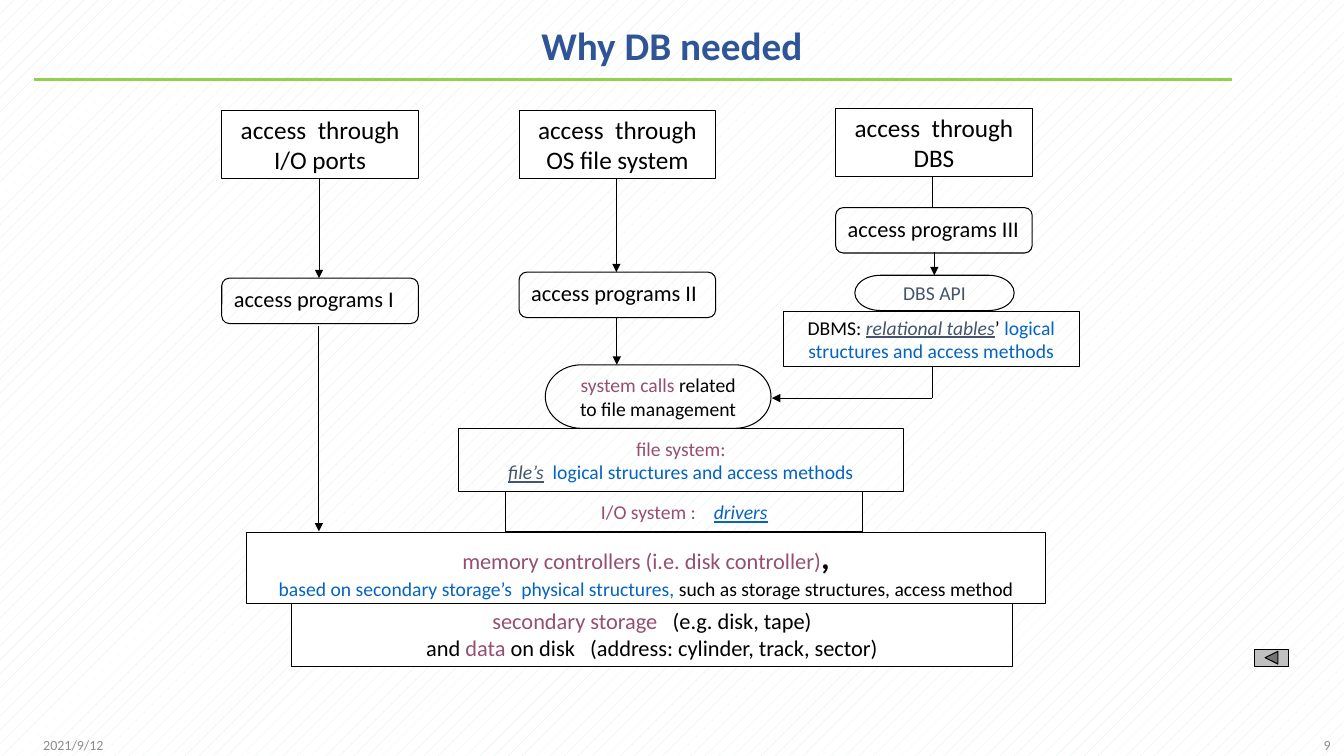
from dataclasses import dataclass

from lxml import etree
from pptx import Presentation
from pptx.dml.color import RGBColor
from pptx.enum.dml import MSO_PATTERN
from pptx.enum.shapes import MSO_CONNECTOR, MSO_SHAPE
from pptx.enum.text import MSO_ANCHOR, PP_ALIGN
from pptx.oxml.ns import qn
from pptx.util import Pt

RECT = MSO_SHAPE.RECTANGLE
ROUNDED = MSO_SHAPE.ROUNDED_RECTANGLE
TERMINATOR = MSO_SHAPE.FLOWCHART_TERMINATOR
BACK_BUTTON = MSO_SHAPE.ACTION_BUTTON_BACK_OR_PREVIOUS
STRAIGHT = MSO_CONNECTOR.STRAIGHT
DOTS = MSO_PATTERN.PERCENT_5
LEFT, CENTER, RIGHT = PP_ALIGN.LEFT, PP_ALIGN.CENTER, PP_ALIGN.RIGHT
TOP, MIDDLE = MSO_ANCHOR.TOP, MSO_ANCHOR.MIDDLE


@dataclass(frozen=True)
class Theme:
    """Colours, font and type sizes of the slide."""
    font: str = "Calibri"
    black: str = "000000"
    white: str = "FFFFFF"
    dots: str = "DCECE0"
    title: str = "2F5597"
    rule: str = "92D050"
    muted: str = "8C8C8C"
    plum: str = "954F72"
    blue: str = "0563C1"
    slate: str = "44546A"
    button: str = "C0C0C0"
    title_size: float = 28
    comma_size: float = 24
    route_size: float = 18
    program_size: float = 16
    layer_size: float = 14
    footer_size: float = 10
    outline: float = 0.75
    rule_width: float = 2.25


THEME = Theme()


def rgb(value):
    """Turn a hex string into a colour."""
    return RGBColor.from_string(value)


def run(text, color=THEME.black, **style):
    """Describe one run: its text, colour and other formatting."""
    return text, color, style


def gap(spaces, size):
    """Describe one space widened to the width of several."""
    return run(" ", spacing=(spaces - 1) * size * 0.226)


def write(frame, lines, size, align=CENTER, anchor=MIDDLE, wrap=False):
    """Fill a text frame with lines, run by run."""
    frame.word_wrap = wrap
    frame.vertical_anchor = anchor
    for number, runs in enumerate(lines):
        paragraph = frame.add_paragraph() if number else frame.paragraphs[0]
        paragraph.alignment = align
        for text, color, style in runs:
            part = paragraph.add_run()
            part.text = text
            font = part.font
            font.name = THEME.font
            font.size = Pt(style.get("size", size))
            font.color.rgb = rgb(color)
            font.bold = style.get("bold", False)
            font.italic = font.underline = style.get("term", False)
            if "spacing" in style:
                part._r.get_or_add_rPr().set("spc", str(round(style["spacing"] * 100)))


def node(slide, kind, box, fill=None):
    """Draw one outlined shape."""
    shape = slide.shapes.add_shape(kind, *map(Pt, box))
    shape.shadow.inherit = False
    if fill:
        shape.fill.solid()
        shape.fill.fore_color.rgb = rgb(fill)
    else:
        shape.fill.background()
    shape.line.color.rgb = rgb(THEME.black)
    shape.line.width = Pt(THEME.outline)
    return shape


def link(slide, start, end, arrow=True, color=THEME.black, width=THEME.outline):
    """Draw a straight line, with an arrowhead at its end if asked."""
    line = slide.shapes.add_connector(STRAIGHT, *map(Pt, (*start, *end)))
    line.line.color.rgb = rgb(color)
    line.line.width = Pt(width)
    if arrow:
        etree.SubElement(line.line._get_or_add_ln(), qn("a:tailEnd"), type="triangle")
    etree.SubElement(line._element.spPr, qn("a:effectLst"))


def header(slide, left, top, width, height):
    """Place the title and the rule below it."""
    title = slide.shapes.title
    title.left, title.top, title.width, title.height = map(Pt, (left, top, width, height))
    write(title.text_frame, [[run("Why DB needed", THEME.title, bold=True)]],
          THEME.title_size, wrap=True)
    title.text_frame.paragraphs[0].line_spacing = 0.9
    rule_top = top + 50.4
    link(slide, (left - 0.5, rule_top), (left + 855.5, rule_top), False,
         THEME.rule, THEME.rule_width)


def access_column(slide, left, top, route, program, drop, arrow=True):
    """Draw an access route and the program reached from it."""
    width, route_height, program_height = 140.4, 48.2, 32.4
    source = node(slide, RECT, (left, top, width, route_height), THEME.white)
    size = THEME.route_size
    write(source.text_frame,
          [[run("access"), gap(2, size), run("through")], [run(route)]], size)
    box = node(slide, ROUNDED, (left, top + drop, width, program_height))
    box.text_frame.margin_right = 0
    write(box.text_frame, [[run(program)]], THEME.program_size, LEFT, TOP, True)
    axis = left + 69.5
    link(slide, (axis, top + route_height), (axis, top + drop), arrow)


def database_layer(slide, left, top):
    """Draw the database interface and its link to the system calls."""
    size = THEME.layer_size
    api = node(slide, TERMINATOR, (left + 51.2, top, 113.8, 25.2))
    write(api.text_frame, [[run("DBS API", THEME.slate)]], size)
    dbms = node(slide, RECT, (left, top + 25.9, 211.7, 39.6))
    write(dbms.text_frame, [
        [run("DBMS: "), run("relational tables", THEME.slate, term=True), run("’ "),
         run("logical", THEME.blue)],
        [run("structures and access methods", THEME.blue)],
    ], size)
    link(slide, (left + 108, top - 16.5), (left + 108, top))
    corner = (left + 106.6, top + 87.8)
    link(slide, (corner[0], top + 65.5), corner, False)
    link(slide, corner, (left - 8, corner[1]))


def storage_stack(slide, left, top):
    """Draw the layers from system calls down to secondary storage."""
    small, large = THEME.layer_size, THEME.program_size
    layers = [
        (RECT, (31.6, 169.4, 515.5, 46), THEME.white, large, [
            [run("secondary storage", THEME.plum), gap(3, large), run("(e.g. disk, tape)")],
            [run("and "), run("data", THEME.plum), run(" on disk"), gap(3, large),
             run("(address: cylinder, track, sector)")]]),
        (RECT, (0, 120, 570.2, 50.4), THEME.white, small, [
            [run("memory controllers (i.e. disk controller)", THEME.plum, size=large),
             run(",", size=THEME.comma_size, bold=True)],
            [run("based on secondary storage’s", THEME.blue), gap(2, small),
             run("physical structures, ", THEME.blue),
             run("such as storage structures, access method")]]),
        (RECT, (185, 90.8, 254.9, 28.1), None, small, [
            [run("I/O system :", THEME.plum), gap(4, small),
             run("drivers", THEME.blue, term=True)]]),
        (RECT, (151.2, 45.4, 317.5, 45.4), None, small, [
            [run("file system:", THEME.plum)],
            [run("file’s", THEME.slate, term=True), gap(2, small),
             run("logical structures and access methods", THEME.blue)]]),
        (TERMINATOR, (213.1, 0, 161.3, 45.4), None, small, [
            [run("system calls ", THEME.plum), run("related")],
            [run("to file management")]]),
    ]
    for kind, (x, y, width, height), fill, size, lines in layers:
        layer = node(slide, kind, (left + x, top + y, width, height), fill)
        write(layer.text_frame, lines, size)
    link(slide, (left + 51.4, top - 28), (left + 51.4, top + 119))
    link(slide, (left + 264.2, top - 33.8), (left + 264.2, top))


def footer(slide, left, top, width, height):
    """Place the date, the slide number and the back button."""
    note_width = 216
    for x, text, align in ((left, "2021/9/12", LEFT),
                           (left + width - note_width, "9", RIGHT)):
        note = slide.shapes.add_textbox(*map(Pt, (x, top, note_width, height)))
        write(note.text_frame, [[run(text, THEME.muted)]], THEME.footer_size,
              align, wrap=True)
    node(slide, BACK_BUTTON, (left + 872.6, top - 54, 23.8, 12.2), THEME.button)


def main():
    """Build the slide and save it."""
    deck = Presentation()
    deck.slide_width, deck.slide_height = Pt(960), Pt(540)
    slide = deck.slides.add_slide(deck.slide_layouts[5])
    paper = slide.background.fill
    paper.patterned()
    paper.pattern = DOTS
    paper.fore_color.rgb, paper.back_color.rgb = rgb(THEME.dots), rgb(THEME.white)
    header(slide, 24.5, 6.5, 910.8, 55.4)
    storage_stack(slide, 176.4, 260.6)
    access_column(slide, 158.4, 79.2, "I/O ports", "access programs I", 119.5)
    access_column(slide, 370.8, 79.2, "OS file system", "access programs II", 115.2)
    access_column(slide, 596.9, 77.8, "DBS", "access programs III", 70.5, False)
    database_layer(slide, 559.4, 196.6)
    footer(slide, 23.8, 517.7, 933.8, 28.8)
    deck.save("out.pptx")


if __name__ == "__main__":
    main()
